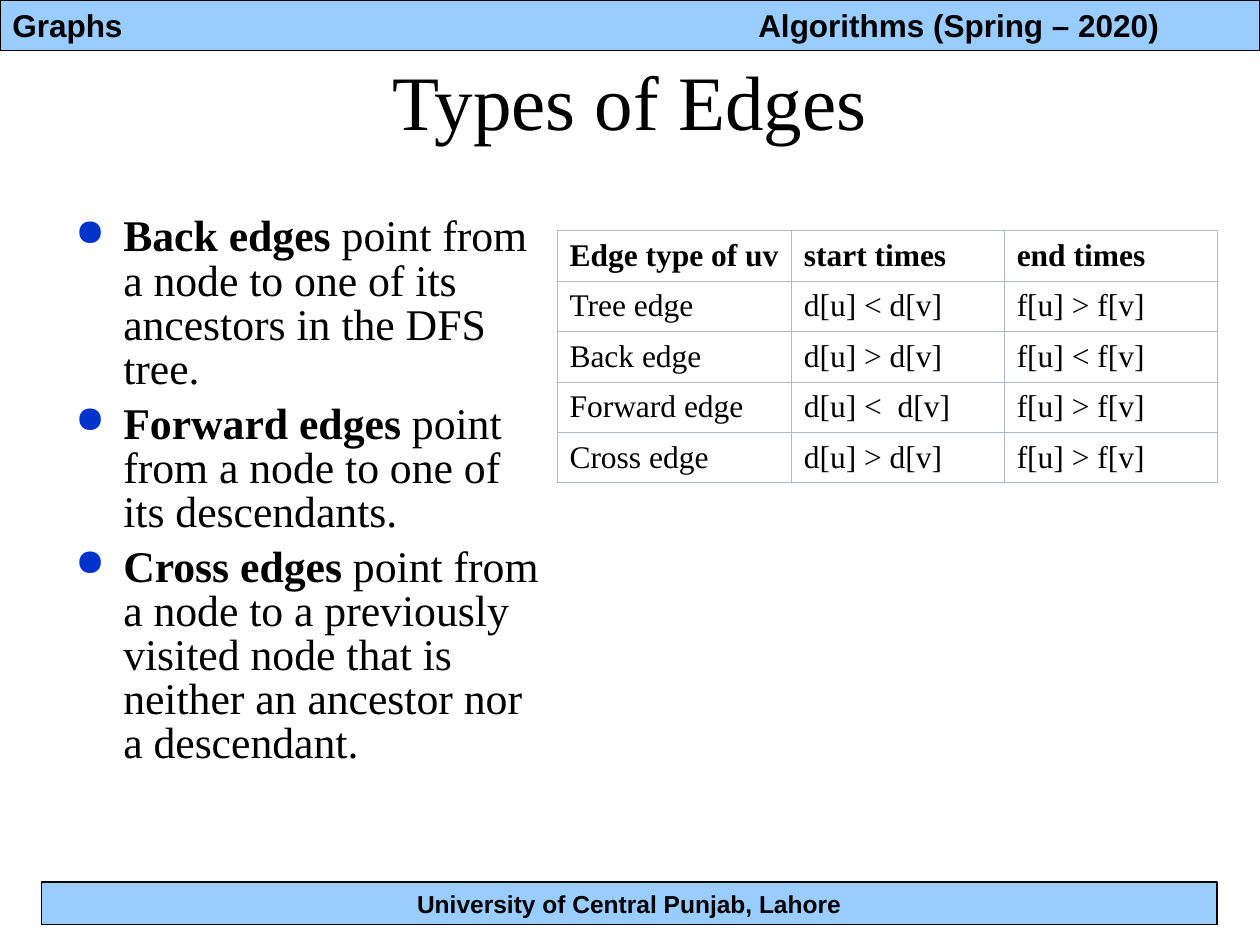
from typing import NamedTuple

from lxml import etree
from pptx import Presentation
from pptx.dml.color import RGBColor
from pptx.enum.shapes import MSO_SHAPE
from pptx.enum.text import MSO_ANCHOR, PP_ALIGN
from pptx.oxml.ns import qn
from pptx.util import Inches, Pt

RECTANGLE = MSO_SHAPE.RECTANGLE
MIDDLE = MSO_ANCHOR.MIDDLE
TOP = MSO_ANCHOR.TOP
LEFT = PP_ALIGN.LEFT
CENTER = PP_ALIGN.CENTER

BLACK = RGBColor(0x00, 0x00, 0x00)
WHITE = RGBColor(0xFF, 0xFF, 0xFF)
BAND_BLUE = RGBColor(0x99, 0xCC, 0xFF)
BULLET_BLUE = RGBColor(0x00, 0x33, 0xCC)
GRID_GRAY = RGBColor(0xAD, 0xB9, 0xCC)

SANS = "Arial"
SERIF = "Times New Roman"


class Area(NamedTuple):
    left: float
    top: float
    width: float
    height: float

    def lengths(self) -> list:
        return [Inches(value) for value in self]


class Label(NamedTuple):
    text: str
    area: Area
    face: str
    size: float
    bold: bool = True
    align: PP_ALIGN = LEFT
    banded: bool = False


class Definition(NamedTuple):
    term: str
    meaning: str


LABELS = [
    Label("Graphs", Area(0, 0, 10, 0.4), SANS, 18, banded=True),
    Label("University of Central Punjab, Lahore", Area(0.33, 7, 9.33, 0.34),
          SANS, 14, align=CENTER, banded=True),
    Label("Algorithms (Spring – 2020)", Area(5.92, 0, 4, 0.4), SANS, 18),
    Label("Types of Edges", Area(0.5, 0.25, 9, 1.08), SERIF, 44,
          bold=False, align=CENTER),
]

DEFINITIONS = [
    Definition("Back edges",
               " point from a node to one of its ancestors in the DFS tree."),
    Definition("Forward edges",
               " point from a node to one of its descendants."),
    Definition("Cross edges",
               " point from a node to a previously visited node that is "
               "neither an ancestor nor a descendant."),
]
DEFINITION_AREA = Area(0.5, 1.67, 3.92, 4.75)

EDGE_TIMES = [
    ("Edge type of uv", "start times", "end times"),
    ("Tree edge", "d[u] < d[v]", "f[u] > f[v]"),
    ("Back edge", "d[u] > d[v]", "f[u] < f[v]"),
    ("Forward edge", "d[u] <  d[v]", "f[u] > f[v]"),
    ("Cross edge", "d[u] > d[v]", "f[u] > f[v]"),
]
TIMES_AREA = Area(4.42, 1.83, 5.25, 2)
COLUMN_WIDTHS = (1.86, 1.69, 1.69)


def set_font(paragraph, face: str, size: float, bold: bool | None = None) -> None:
    font = paragraph.font
    font.name = face
    font.size = Pt(size)
    font.bold = bold
    font.color.rgb = BLACK


def add_label(slide, label: Label) -> None:
    if label.banded:
        holder = slide.shapes.add_shape(RECTANGLE, *label.area.lengths())
        holder.shadow.inherit = False
        holder.fill.solid()
        holder.fill.fore_color.rgb = BAND_BLUE
        holder.line.color.rgb = BLACK
        holder.line.width = Pt(0.75)
    else:
        holder = slide.shapes.add_textbox(*label.area.lengths())
    frame = holder.text_frame
    frame.word_wrap = True
    frame.vertical_anchor = MIDDLE
    paragraph = frame.paragraphs[0]
    paragraph.text = label.text
    paragraph.alignment = label.align
    set_font(paragraph, label.face, label.size, label.bold)


def add_bullet(paragraph) -> None:
    properties = paragraph._p.get_or_add_pPr()
    properties.set("marL", str(Inches(0.38)))
    properties.set("indent", str(-Inches(0.38)))
    tint = etree.SubElement(properties, qn("a:buClr"))
    etree.SubElement(tint, qn("a:srgbClr"), val=str(BULLET_BLUE))
    etree.SubElement(properties, qn("a:buSzPct"), val="85000")
    etree.SubElement(properties, qn("a:buChar"), char="●")


def add_definitions(slide, definitions: list[Definition], area: Area) -> None:
    frame = slide.shapes.add_textbox(*area.lengths()).text_frame
    frame.word_wrap = True
    frame.vertical_anchor = TOP
    for index, definition in enumerate(definitions):
        paragraph = frame.add_paragraph() if index else frame.paragraphs[0]
        add_bullet(paragraph)
        paragraph.line_spacing = 0.84
        if index:
            paragraph.space_before = Pt(6.2)
        set_font(paragraph, SERIF, 25)
        term = paragraph.add_run()
        term.text = definition.term
        term.font.bold = True
        paragraph.add_run().text = definition.meaning


def add_borders(cell) -> None:
    properties = cell._tc.get_or_add_tcPr()
    for position, side in enumerate(("a:lnL", "a:lnR", "a:lnT", "a:lnB")):
        border = etree.Element(qn(side), w=str(Pt(0.45)))
        stroke = etree.SubElement(border, qn("a:solidFill"))
        etree.SubElement(stroke, qn("a:srgbClr"), val=str(GRID_GRAY))
        properties.insert(position, border)


def add_times_table(slide, rows: list[tuple[str, ...]], area: Area) -> None:
    table = slide.shapes.add_table(
        len(rows), len(COLUMN_WIDTHS), *area.lengths()).table
    for column, width in zip(table.columns, COLUMN_WIDTHS):
        column.width = Inches(width)
    for row_index, row in enumerate(rows):
        for column_index, text in enumerate(row):
            cell = table.cell(row_index, column_index)
            cell.text = text
            cell.vertical_anchor = MIDDLE
            cell.fill.solid()
            cell.fill.fore_color.rgb = WHITE
            add_borders(cell)
            set_font(cell.text_frame.paragraphs[0], SERIF, 18, row_index == 0)


def main() -> None:
    presentation = Presentation()
    presentation.slide_width = Inches(10)
    presentation.slide_height = Inches(7.5)
    slide = presentation.slides.add_slide(presentation.slide_layouts[6])
    for label in LABELS:
        add_label(slide, label)
    add_definitions(slide, DEFINITIONS, DEFINITION_AREA)
    add_times_table(slide, EDGE_TIMES, TIMES_AREA)
    presentation.save("out.pptx")


if __name__ == "__main__":
    main()
